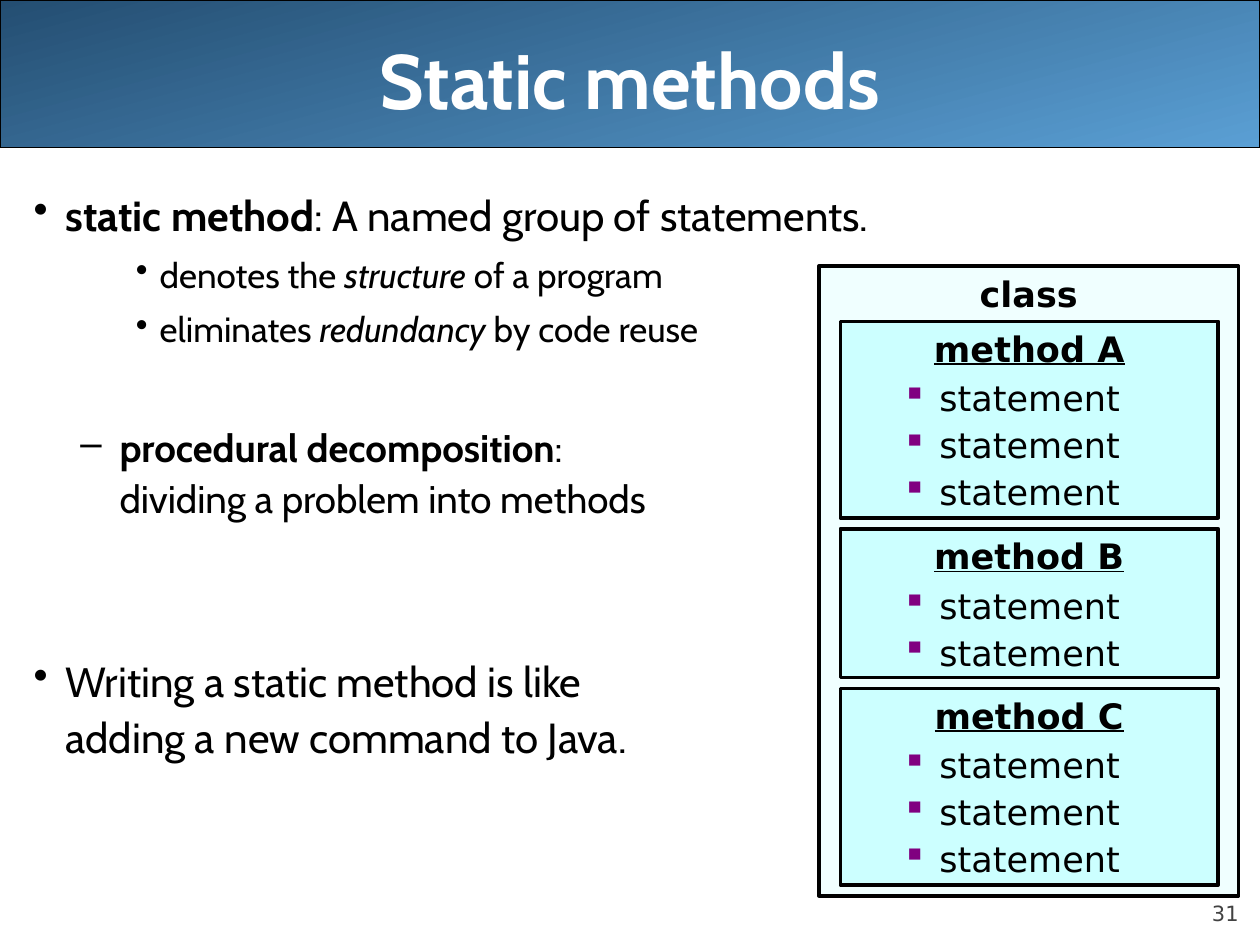
from dataclasses import dataclass

from lxml import etree
from pptx import Presentation
from pptx import util as u
from pptx.dml.color import RGBColor
from pptx.enum import shapes, text
from pptx.oxml import ns


@dataclass(frozen=True)
class Theme:
    heading: str = "Cabin"
    plain: str = "DejaVu Sans"
    black: str = "000000"
    white: str = "FFFFFF"
    grey: str = "424242"
    purple: str = "800080"
    class_fill: str = "F0FFFF"
    method_fill: str = "CCFFFF"
    band_light: str = "5A9FD4"
    band_dark: str = "244E72"
    title: int = 44
    body: int = 24
    sub: int = 22
    detail: int = 20
    number: int = 12


T = Theme()
CENTER, RIGHT = text.PP_ALIGN.CENTER, text.PP_ALIGN.RIGHT
TOP, MIDDLE, BOTTOM = (text.MSO_ANCHOR.TOP, text.MSO_ANCHOR.MIDDLE,
                       text.MSO_ANCHOR.BOTTOM)


def rgb(value):
    return RGBColor.from_string(value)


def add_bullet(p, char, color, percent):
    pPr = p._p.get_or_add_pPr()
    clr = etree.SubElement(pPr, ns.qn("a:buClr"))
    etree.SubElement(clr, ns.qn("a:srgbClr"), val=color)
    etree.SubElement(pPr, ns.qn("a:buSzPct"), val=str(percent * 1000))
    etree.SubElement(pPr, ns.qn("a:buChar"), char=char)


def write(tf, content, *, font=T.heading, size=T.body, color=T.black, bold=False,
          underline=False, align=None, level=0, left=0, hang=0, before=0,
          spacing=None, bullet=None, bullet_color=T.black, bullet_size=100):
    """Add a paragraph; content is a string or (text, style) pairs, style b or i."""
    first = tf.paragraphs[0]
    p = tf.add_paragraph() if first.runs else first
    p.alignment, p.level = align, level
    p.space_before = u.Pt(before)
    if spacing:
        p.line_spacing = spacing
    pPr = p._p.get_or_add_pPr()
    pPr.set("marL", str(u.Cm(left)))
    pPr.set("indent", str(u.Cm(-hang)))
    if bullet:
        add_bullet(p, bullet, bullet_color, bullet_size)
    for part, style in [(content, "")] if isinstance(content, str) else content:
        for i, line in enumerate(part.split("\n")):
            if i:
                p.add_line_break()
            r = p.add_run()
            r.text = line
            f = r.font
            f.name, f.size, f.color.rgb = font, u.Pt(size), rgb(color)
            f.bold, f.italic = bold or "b" in style, "i" in style
            f.underline = underline


class SlideBuilder:
    def __init__(self, prs):
        self.slide = prs.slides.add_slide(prs.slide_layouts[6])

    def band(self, x, y, w, h):
        sp = self.slide.shapes.add_shape(shapes.MSO_SHAPE.ROUNDED_RECTANGLE,
                                         u.Cm(x), u.Cm(y), u.Cm(w), u.Cm(h))
        sp.adjustments[0] = 0
        sp.shadow.inherit = False
        sp.fill.gradient()
        sp.fill.gradient_angle = 105
        for stop, color in zip(sp.fill.gradient_stops, (T.band_light, T.band_dark)):
            stop.color.rgb = rgb(color)
        sp.line.color.rgb, sp.line.width = rgb(T.black), u.Pt(0.75)

    def text_box(self, x, y, w, h, anchor=TOP, inset=True):
        sp = self.slide.shapes.add_textbox(u.Cm(x), u.Cm(y), u.Cm(w), u.Cm(h))
        tf = sp.text_frame
        tf.word_wrap, tf.vertical_anchor = True, anchor
        if not inset:
            tf.margin_left = tf.margin_right = tf.margin_top = tf.margin_bottom = 0
        return tf

    def group(self):
        return self.slide.shapes.add_group_shape()

    def box(self, group, x, y, w, h, fill, heading, underline=False):
        sp = group.shapes.add_shape(shapes.MSO_SHAPE.RECTANGLE,
                                    u.Cm(x), u.Cm(y), u.Cm(w), u.Cm(h))
        sp.shadow.inherit = False
        sp.fill.solid()
        sp.fill.fore_color.rgb = rgb(fill)
        sp.line.color.rgb, sp.line.width = rgb(T.black), u.Pt(2)
        tf = sp.text_frame
        tf.word_wrap, tf.vertical_anchor = True, TOP
        write(tf, heading, font=T.plain, size=T.detail, bold=True,
              underline=underline, align=CENTER, left=0.79, hang=0.79, before=12.5)
        return tf


def main():
    prs = Presentation()
    prs.slide_width, prs.slide_height = u.Cm(25.4), u.Cm(19.05)
    s = SlideBuilder(prs)

    # Title band and page number
    s.band(0, 0, 25.4, 2.97)
    write(s.text_box(22.86, 17.65, 2.11, 1.02, BOTTOM, inset=False), "31",
          font=T.plain, size=T.number, color=T.grey, align=RIGHT, before=5)
    write(s.text_box(1.27, 0, 22.86, 3.18, MIDDLE), "Static methods",
          size=T.title, color=T.white, bold=True, align=CENTER)

    # Body text
    main_point = dict(size=T.body, left=0.64, hang=0.64, spacing=1.1, bullet="•")
    sub_point = dict(size=T.sub, level=1, left=1.73, hang=0.79, spacing=1.1, bullet="–")
    detail = dict(size=T.detail, level=2, left=2.54, hang=0.48, spacing=1.1,
                  before=5, bullet="•")
    tf = s.text_box(0.43, 3.6, 24.97, 14.4)
    write(tf, [("static method", "b"), (": A named group of statements.", "")],
          before=6, **main_point)
    write(tf, [("denotes the ", ""), ("structure", "i"), (" of a program", "")],
          **detail)
    write(tf, [("eliminates ", ""), ("redundancy", "i"), (" by code reuse", "")],
          **detail)
    write(tf, [("procedural decomposition", "b"),
               (":\ndividing a problem into methods", "")], before=39.6, **sub_point)
    write(tf, "Writing a static method is like\nadding a new command to Java.",
          before=74.2, **main_point)

    # Class diagram: each method box is as tall as its statements need
    diagram = s.group()
    s.box(diagram, 16.51, 5.36, 8.46, 12.7, T.class_fill, "class")
    top, gap = 6.48, 0.22
    for name, count in (("A", 3), ("B", 2), ("C", 3)):
        height = 1.08 + 0.96 * count
        tf = s.box(diagram, 16.94, top, 7.62, height, T.method_fill,
                   f"method {name}", underline=True)
        tf.auto_size = text.MSO_AUTO_SIZE.SHAPE_TO_FIT_TEXT
        for _ in range(count):
            write(tf, "statement", font=T.plain, size=T.detail, level=1, left=1.75,
                  hang=0.64, before=12.5, spacing=0.6, bullet="■",
                  bullet_color=T.purple, bullet_size=55)
        top += height + gap

    prs.save("out.pptx")


if __name__ == "__main__":
    main()
